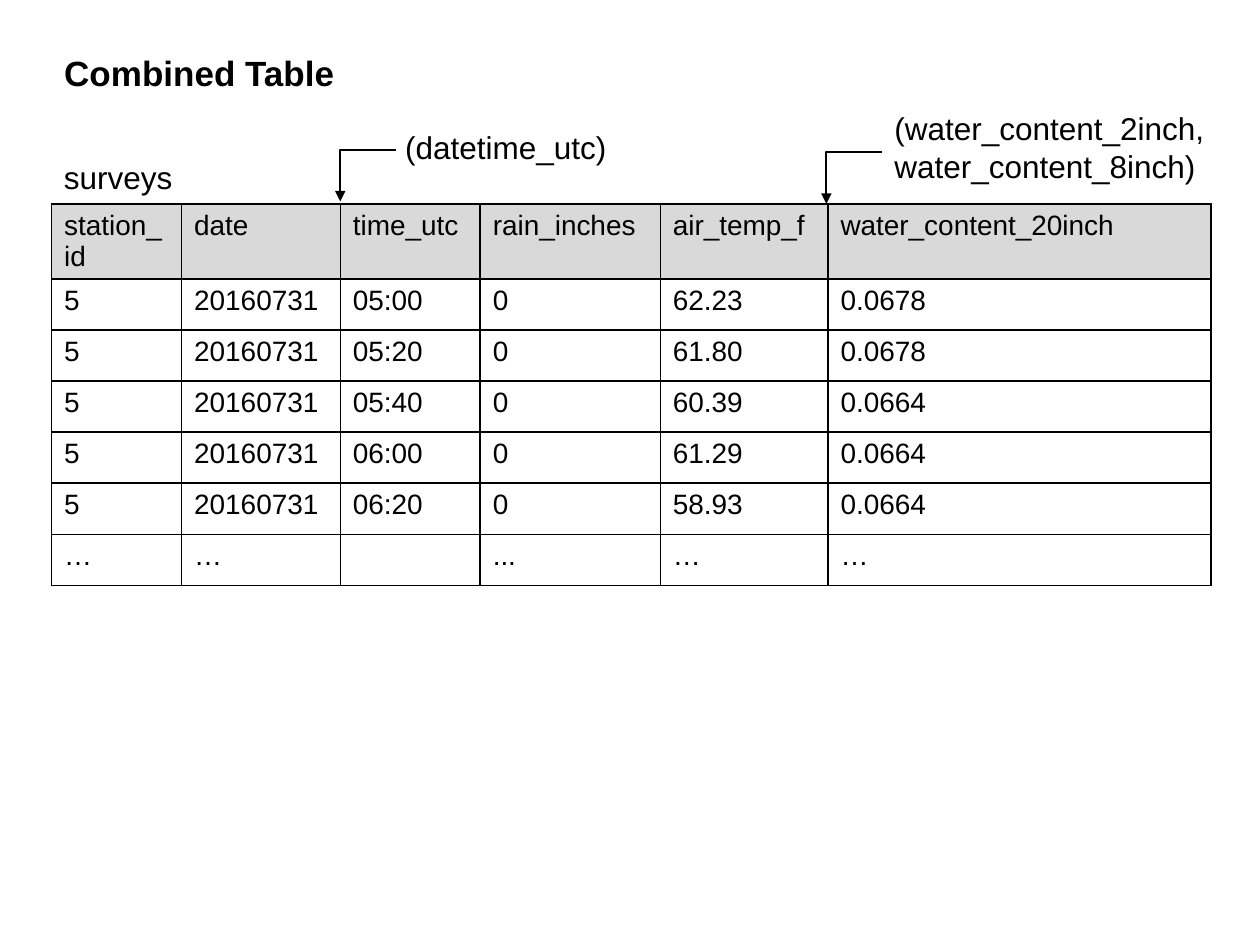
from pptx import Presentation
from pptx.dml.color import RGBColor
from pptx.enum import shapes, text
from pptx.oxml import parse_xml
from pptx.oxml.ns import nsdecls
from pptx import util as u


class Theme:
    ink = RGBColor(0, 0, 0)
    head = RGBColor(0xD9, 0xD9, 0xD9)
    font = "Arial"
    title = u.Pt(20)
    label = u.Pt(18)
    cell = u.Pt(16)
    line = u.Pt(1)


def write(frame, lines, size, bold=False):
    for i, line in enumerate(lines):
        para = frame.add_paragraph() if i else frame.paragraphs[0]
        para.alignment = text.PP_ALIGN.LEFT
        run = para.add_run()
        run.text = line
        run.font.name = Theme.font
        run.font.size = size
        run.font.bold = bold
        run.font.color.rgb = Theme.ink


def edge(cell):
    props = cell._tc.get_or_add_tcPr()
    for i, side in enumerate(("lnL", "lnR", "lnT", "lnB")):
        props.insert(i, parse_xml(
            f'<a:{side} {nsdecls("a")} w="{Theme.line}"><a:solidFill>'
            f'<a:srgbClr val="{Theme.ink}"/></a:solidFill></a:{side}>'))


deck = Presentation()
deck.slide_width = u.Cm(25.4)
deck.slide_height = u.Cm(19.05)
slide = deck.slides.add_slide(deck.slide_layouts[5])

title = slide.shapes.title
title.left, title.top = u.Cm(1.04), u.Cm(0.91)
title.width, title.height = u.Cm(14.91), u.Cm(1.12)
title.text_frame.vertical_anchor = text.MSO_ANCHOR.TOP
write(title.text_frame, ["Combined Table"], Theme.title, True)

names = ["station_\nid", "date", "time_utc", "rain_inches", "air_temp_f",
         "water_content_20inch"]
data = [
    ("05:00", "62.23", "0.0678"),
    ("05:20", "61.80", "0.0678"),
    ("05:40", "60.39", "0.0664"),
    ("06:00", "61.29", "0.0664"),
    ("06:20", "58.93", "0.0664"),
]
rows = [names]
rows += [["5", "20160731", time, "0", temp, water] for time, temp, water in data]
rows.append(["…", "…", "", "...", "…", "…"])
wide = [2.62, 3.2, 2.82, 3.63, 3.38, 7.72]
tall = [1.51] + [1.03] * (len(rows) - 1)

grid = slide.shapes.add_table(
    len(rows), len(wide), u.Cm(1.04), u.Cm(4.11),
    u.Cm(sum(wide)), u.Cm(sum(tall))).table
grid.horz_banding = False
grid.first_row = False
for col, size in zip(grid.columns, wide):
    col.width = u.Cm(size)
for r, row in enumerate(rows):
    grid.rows[r].height = u.Cm(tall[r])
    for c, value in enumerate(row):
        cell = grid.cell(r, c)
        if r:
            cell.fill.background()
        else:
            cell.fill.solid()
            cell.fill.fore_color.rgb = Theme.head
        edge(cell)
        if value:
            write(cell.text_frame, value.split("\n"), Theme.cell)

labels = [
    (1.04, 3.07, 8.33, 1.04, ["surveys"]),
    (7.92, 2.46, 11.53, 1.02, ["(datetime_utc)"]),
    (17.78, 2.08, 7.62, 1.8, ["(water_content_2inch,", "water_content_8inch)"]),
]
for x, y, w, h, lines in labels:
    box = slide.shapes.add_textbox(u.Cm(x), u.Cm(y), u.Cm(w), u.Cm(h))
    box.text_frame.word_wrap = True
    write(box.text_frame, lines, Theme.label)

for x, y in ((6.86, 3.02), (16.66, 3.07)):
    link = slide.shapes.add_connector(
        shapes.MSO_CONNECTOR.ELBOW,
        u.Cm(x + 1.12), u.Cm(y), u.Cm(x), u.Cm(y + 1.04))
    link.line.color.rgb = Theme.ink
    link.line.width = Theme.line
    props = link._element.spPr
    props.prstGeom.set("prst", "bentConnector2")
    link.line._get_or_add_ln().append(
        parse_xml(f'<a:tailEnd {nsdecls("a")} type="triangle"/>'))
    props.append(parse_xml(f'<a:effectLst {nsdecls("a")}/>'))

deck.save("out.pptx")
